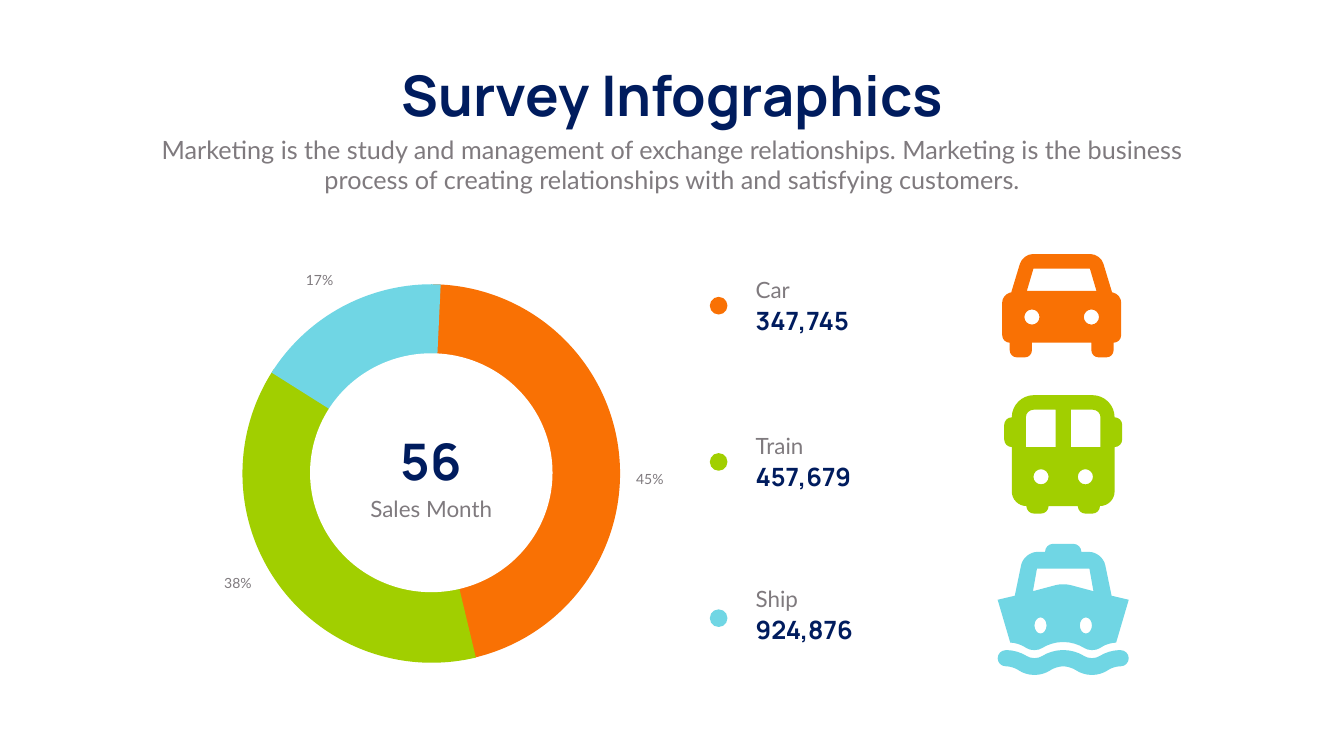
from math import dist

from lxml.etree import SubElement
from pptx import Presentation
from pptx.dml.color import RGBColor
from pptx.enum.shapes import MSO_SHAPE
from pptx.enum.text import MSO_ANCHOR, MSO_AUTO_SIZE, PP_ALIGN
from pptx.oxml.ns import qn
from pptx.util import Inches, Pt

COLS, ROWS = 26.66, 15
CELL = Inches(1)
NAVY, GREY, WHITE = "001C5E", "7F7A7E", "FFFFFF"
ORANGE, GREEN, BLUE = "F97104", "A1CF00", "70D6E4"
HEAD, BODY = "Manrope", "Lato"
ROUND = 0.55


def rgb(value):
    return RGBColor.from_string(value)


def cells(*values):
    return [round(v * CELL) for v in values]


def write(tf, text, size=32, font=BODY, color=GREY, bold=False,
          align=PP_ALIGN.LEFT, anchor=MSO_ANCHOR.TOP, wrap=True, inset=None):
    tf.word_wrap = wrap
    tf.auto_size = MSO_AUTO_SIZE.SHAPE_TO_FIT_TEXT
    tf.vertical_anchor = anchor
    if inset is not None:
        tf.margin_left = tf.margin_right = Inches(inset)
        tf.margin_top = tf.margin_bottom = Inches(inset)
    p = tf.paragraphs[0]
    p.alignment = align
    r = p.add_run()
    r.text = text
    r.font.size, r.font.name, r.font.bold = Pt(size), font, bold
    r.font.color.rgb = rgb(color)


def toward(a, b, share):
    return tuple(p + (q - p) * share for p, q in zip(a, b))


def rounded(corners):
    nodes = []
    for i, (x, y, radius) in enumerate(corners):
        corner = (x, y)
        if not radius:
            nodes.append([corner])
            continue
        before, after = corners[i - 1][:2], corners[(i + 1) % len(corners)][:2]
        a = toward(corner, before, radius / dist(corner, before))
        b = toward(corner, after, radius / dist(corner, after))
        nodes.append([a])
        nodes.append([toward(a, corner, ROUND), toward(b, corner, ROUND), b])
    return nodes


def symmetric(half):
    return rounded(half + [(-x, y, radius) for x, y, radius in reversed(half) if x])


def pair(nodes):
    return [nodes, [[(-x, y) for x, y in node] for node in nodes]]


def oval(cx, cy, rx, ry):
    ends = [(1, 0), (0, 1), (-1, 0), (0, -1), (1, 0)]
    nodes = [[ends[0]]]
    for a, b in zip(ends, ends[1:]):
        corner = (a[0] + b[0], a[1] + b[1])
        nodes.append([toward(a, corner, ROUND), toward(b, corner, ROUND), b])
    return [[(cx + rx * x, cy + ry * y) for x, y in node] for node in nodes]


class Deck:
    def __init__(self):
        self.prs = Presentation()
        self.prs.slide_width, self.prs.slide_height = cells(COLS, ROWS)
        self.s = self.prs.slides.add_slide(self.prs.slide_layouts[5])

    def title(self, text, box, **style):
        sp = self.s.shapes.title
        sp.left, sp.top, sp.width, sp.height = cells(*box)
        write(sp.text_frame, text, **style)

    def text(self, text, box, **style):
        sp = self.s.shapes.add_textbox(*cells(*box))
        write(sp.text_frame, text, **style)

    def paint(self, sp, color):
        sp.shadow.inherit = False
        sp.fill.solid()
        sp.fill.fore_color.rgb = rgb(color)
        sp.line.fill.background()

    def shape(self, kind, box, color, adjust=()):
        sp = self.s.shapes.add_shape(kind, *cells(*box))
        for i, value in enumerate(adjust):
            sp.adjustments[i] = value
        self.paint(sp, color)

    def icon(self, center, contours, color):
        placed = [[[cells(center + x, y) for x, y in node] for node in c]
                  for c in contours]
        (first, *rest), *holes = placed
        builder = self.s.shapes.build_freeform(*first[-1])
        builder.add_line_segments([node[-1] for node in rest])
        for start, *others in holes:
            builder.move_to(*start[-1])
            builder.add_line_segments([node[-1] for node in others])
        sp = builder.convert_to_shape()
        self.paint(sp, color)
        segments = list(sp.element.iter(qn("a:lnTo")))
        for segment, node in zip(segments, [n for c in placed for n in c[1:]]):
            if len(node) == 1:
                continue
            segment.tag = qn("a:cubicBezTo")
            end = segment[0]
            for x, y in node[:2]:
                pt = SubElement(segment, qn("a:pt"))
                pt.set("x", str(x - sp.left))
                pt.set("y", str(y - sp.top))
            segment.append(end)


def main():
    deck = Deck()
    heading = dict(font=HEAD, color=NAVY, bold=True)
    centered = dict(align=PP_ALIGN.CENTER)
    middle = dict(centered, anchor=MSO_ANCHOR.MIDDLE, inset=0.06)

    deck.title("Survey Infographics", (7.42, 1.16, 11.83, 1.45), size=80,
               wrap=False, **heading, **centered)
    deck.text("Marketing is the study and management of exchange relationships. "
              "Marketing is the business process of creating relationships with "
              "and satisfying customers.", (2.92, 2.61, 20.82, 1.31),
              size=36, **centered)

    modes = [("Car", "45%", ORANGE, "347,745", 5.42, (12.24, 9.29),
              4.79, (162.39, 46.01)),
             ("Train", "38%", GREEN, "457,679", 8.53, (4.07, 11.34),
              4.81, (45.92, 128.08)),
             ("Ship", "17%", BLUE, "924,876", 11.56, (5.69, 5.34),
              4.81, (127.33, 163.62))]
    for *_, color, _, _, _, left, angles in modes:
        deck.shape(MSO_SHAPE.PIE, (left, 5.64, 7.51, 7.51), color, angles)
    deck.shape(MSO_SHAPE.OVAL, (6.15, 7.01, 4.81, 4.74), WHITE)
    deck.text("56", (7.08, 8.47, 2.94, 1.32), size=72, **heading, **middle)
    deck.text("Sales Month", (6.76, 9.76, 3.59, 0.65), **middle)

    for row, (name, share, color, total, top, spot, *_) in enumerate(modes):
        deck.shape(MSO_SHAPE.OVAL, (14.08, 5.89 + 3.1 * row, 0.35, 0.35), color)
        deck.text(name, (14.89, top, 3.51, 0.64))
        deck.text(total, (14.89, top + 0.58, 3.51, 0.71), size=36, **heading)
        deck.text(share, (*spot, 1.3, 0.44), size=20, **centered)

    car = symmetric([(0.77, 5.04, 0.2), (1, 5.8, 0), (1.18, 5.85, 0.15),
                     (1.18, 6.8, 0.15), (1.03, 6.8, 0), (1.03, 7.09, 0.14),
                     (0.59, 7.09, 0.14), (0.59, 6.8, 0)])
    windscreen = symmetric([(0.56, 5.33, 0), (0.69, 5.77, 0)])
    car_lamps = pair(oval(0.59, 6.29, 0.15, 0.15))
    deck.icon(21.06, [car, windscreen, *car_lamps], ORANGE)

    train = symmetric([(1.02, 7.84, 0.44), (1.02, 8.28, 0), (1.17, 8.28, 0.15),
                       (1.17, 8.87, 0.15), (1.02, 8.87, 0), (1.02, 10.04, 0.29),
                       (0.73, 10.04, 0), (0.73, 10.19, 0.15),
                       (0.29, 10.19, 0.15), (0.29, 10.04, 0)])
    windows = pair(rounded([(0.15, 8.13, 0), (0.74, 8.13, 0.15),
                            (0.74, 8.87, 0), (0.15, 8.87, 0)]))
    train_lamps = pair(oval(0.44, 9.46, 0.15, 0.15))
    deck.icon(21.09, [train, *windows, *train_lamps], GREEN)

    ship = symmetric([(0.36, 10.79, 0.16), (0.36, 10.95, 0), (0.78, 10.95, 0.27),
                      (0.96, 11.82, 0), (1.3, 11.9, 0), (1.05, 12.75, 0),
                      (0.9, 12.75, 0.15), (0.57, 12.96, 0.19),
                      (0.24, 12.74, 0.2)])
    bridge = symmetric([(0.52, 11.28, 0), (0.6, 11.73, 0), (0, 11.57, 0.15)])
    portholes = pair(oval(0.45, 12.41, 0.12, 0.16))
    deck.icon(21.09, [ship, bridge, *portholes], BLUE)
    waves = symmetric([(0.24, 12.9, 0.2), (0.57, 13.12, 0.19), (0.9, 12.9, 0.2),
                       (1.3, 12.9, 0.16), (1.3, 13.22, 0.16), (1, 13.22, 0.13),
                       (0.75, 13.39, 0.15), (0.39, 13.39, 0.15),
                       (0.14, 13.22, 0.14)])
    deck.icon(21.09, [waves], BLUE)

    deck.prs.save("out.pptx")


if __name__ == "__main__":
    main()
